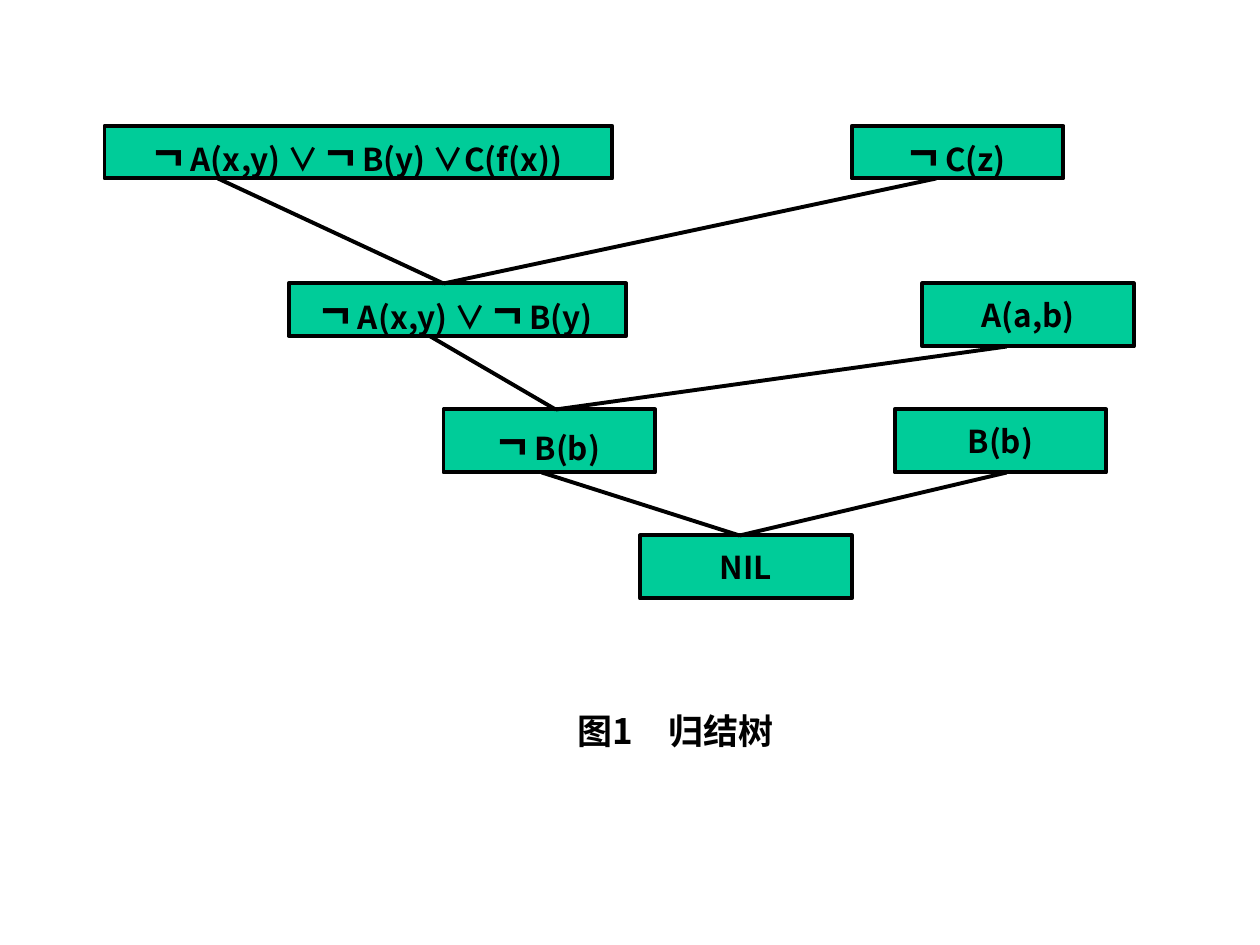
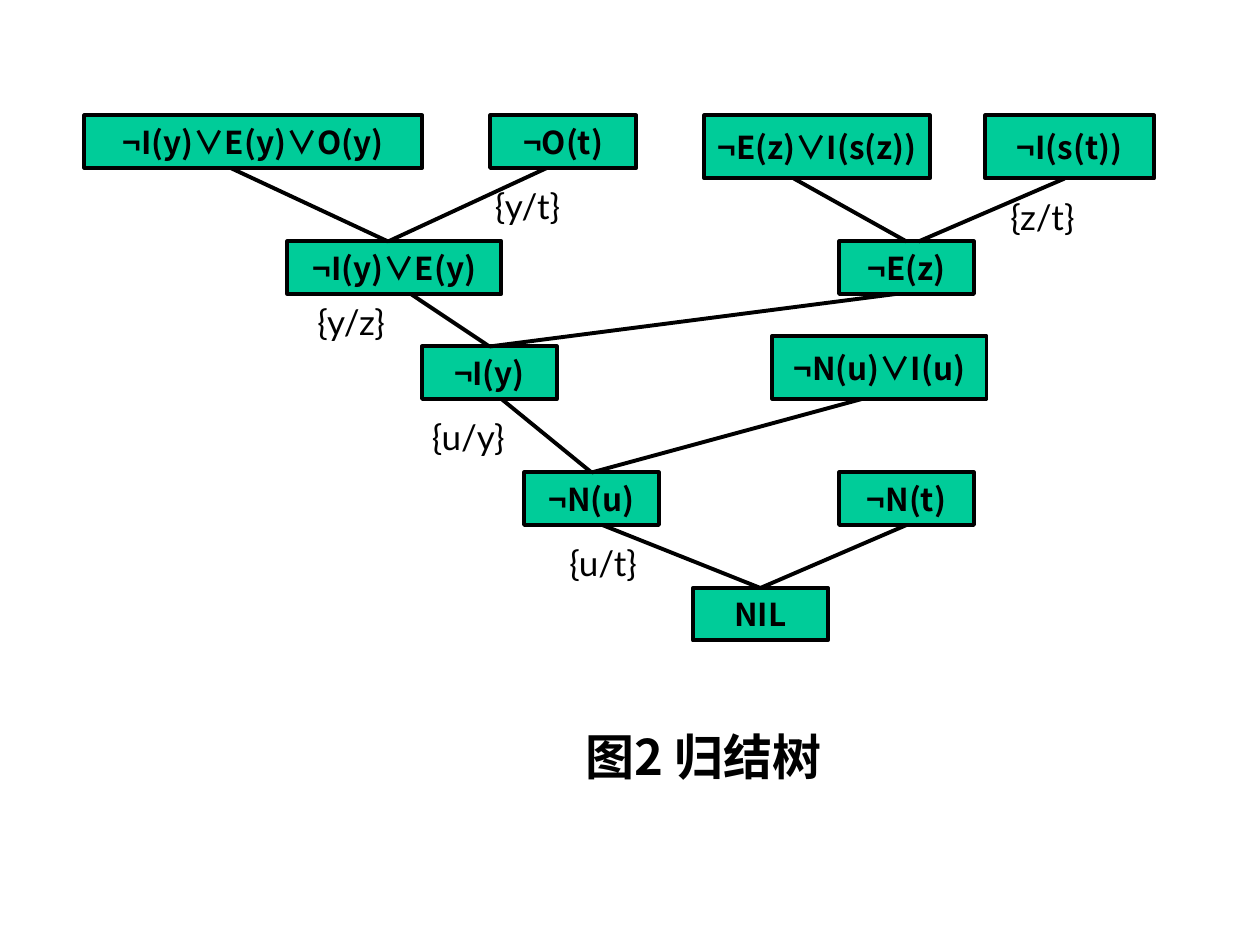
from dataclasses import dataclass
from itertools import groupby

from lxml import etree
from pptx import Presentation
from pptx import util as u
from pptx.dml.color import RGBColor
from pptx.enum import shapes, text
from pptx.oxml.ns import qn

TOP, BOTTOM = 0, 2


@dataclass(frozen=True)
class Theme:
    fill: RGBColor = RGBColor(0x00, 0xCC, 0x99)
    ink: RGBColor = RGBColor(0x00, 0x00, 0x00)
    line_width: float = 2.25
    clause_font: str = "Noto Sans CJK SC"
    label_font: str = "Lato"
    clause_size: int = 18
    large_negation_size: int = 28
    label_size: int = 20


class TreeBuilder:
    COLUMNS = 100
    ROWS = 90

    def __init__(self, presentation, theme):
        self.presentation = presentation
        self.theme = theme
        self.slide = None

    def new_slide(self):
        self.slide = self.presentation.slides.add_slide(self.presentation.slide_layouts[6])

    def x(self, columns):
        return round(self.presentation.slide_width * columns / self.COLUMNS)

    def y(self, rows):
        return round(self.presentation.slide_height * rows / self.ROWS)

    def area(self, column, row, width, height):
        return self.x(column), self.y(row), self.x(width), self.y(height)

    def style_run(self, run, font_name, size, bold):
        run.font.name = font_name
        run.font.size = u.Pt(size)
        run.font.bold = bold
        run.font.color.rgb = self.theme.ink
        east_asian = etree.SubElement(run.font._element, qn("a:ea"))
        east_asian.set("typeface", font_name)

    def style_line(self, line):
        line.color.rgb = self.theme.ink
        line.width = u.Pt(self.theme.line_width)

    def clause(self, formula, column, row, width, height=5, negation_size=None):
        shape = self.slide.shapes.add_shape(
            shapes.MSO_SHAPE.RECTANGLE, *self.area(column, row, width, height))
        shape.shadow.inherit = False
        shape.fill.solid()
        shape.fill.fore_color.rgb = self.theme.fill
        self.style_line(shape.line)
        text_frame = shape.text_frame
        text_frame.word_wrap = False
        text_frame.vertical_anchor = text.MSO_ANCHOR.MIDDLE
        paragraph = text_frame.paragraphs[0]
        paragraph.alignment = text.PP_ALIGN.CENTER
        for is_negation, symbols in groupby(formula, lambda symbol: symbol == "¬"):
            run = paragraph.add_run()
            run.text = "".join(symbols)
            size = negation_size if is_negation and negation_size else self.theme.clause_size
            self.style_run(run, self.theme.clause_font, size, True)
        return shape

    def resolve(self, parent, child, parent_column=None, child_column=None):
        def column_or_middle(shape, column):
            return shape.left + shape.width // 2 if column is None else self.x(column)

        connector = self.slide.shapes.add_connector(
            shapes.MSO_CONNECTOR.STRAIGHT,
            column_or_middle(parent, parent_column), parent.top + parent.height,
            column_or_middle(child, child_column), child.top)
        if parent_column is None:
            connector.begin_connect(parent, BOTTOM)
        if child_column is None:
            connector.end_connect(child, TOP)
        self.style_line(connector.line)
        etree.SubElement(connector._element.spPr, qn("a:effectLst"))

    def text_box(self, content, area, font_name, size, bold, alignment):
        text_frame = self.slide.shapes.add_textbox(*self.area(*area)).text_frame
        text_frame.word_wrap = True
        text_frame.auto_size = text.MSO_AUTO_SIZE.SHAPE_TO_FIT_TEXT
        text_frame.text = content
        paragraph = text_frame.paragraphs[0]
        paragraph.alignment = alignment
        self.style_run(paragraph.runs[0], font_name, size, bold)

    def caption(self, content, area, size, font_name):
        self.text_box(content, area, font_name, size, True, text.PP_ALIGN.CENTER)

    def substitution(self, content, column, row):
        self.text_box(content, (column, row, 11.7, 6), self.theme.label_font,
                      self.theme.label_size, False, text.PP_ALIGN.LEFT)


def build_first_tree(builder):
    builder.new_slide()
    large = builder.theme.large_negation_size
    width = 16.8
    goal = builder.clause("¬ A(x,y) ∨ ¬ B(y) ∨C(f(x))", 8.3, 12, 40.3, negation_size=large)
    not_c = builder.clause("¬ C(z)", 67.6, 12, width, negation_size=large)
    not_a_or_not_b = builder.clause("¬ A(x,y) ∨ ¬ B(y)", 22.9, 27, 26.8, negation_size=large)
    fact_a = builder.clause("A(a,b)", 73.2, 27, width, 6)
    not_b = builder.clause("¬ B(b)", 35.2, 39, width, 6, large)
    fact_b = builder.clause("B(b)", 71, 39, width, 6)
    nil = builder.clause("NIL", 50.8, 51, width, 6)
    for parent, child, parent_column, child_column in (
        (goal, not_a_or_not_b, 17.3, 35.2),
        (not_c, not_a_or_not_b, 74.3, 35.2),
        (not_a_or_not_b, not_b, 34.1, 44.1),
        (fact_a, not_b, 79.9, 44.1),
        (not_b, nil, 43, 58.7),
        (fact_b, nil, 79.9, 58.7),
    ):
        builder.resolve(parent, child, parent_column, child_column)
    builder.caption("图1　归结树", (32.9, 67, 41.4, 6), 20, "Noto Sans CJK JP")


def build_second_tree(builder):
    builder.new_slide()
    width = 10.7
    goal = builder.clause("¬I(y)∨E(y)∨O(y)", 6.7, 11, 26.8)
    not_o = builder.clause("¬O(t)", 38.9, 11, 11.6)
    not_e_or_i = builder.clause("¬E(z)∨I(s(z))", 55.9, 11, 17.9, 6)
    not_i_s = builder.clause("¬I(s(t))", 78.2, 11, 13.4, 6)
    not_i_or_e = builder.clause("¬I(y)∨E(y)", 22.8, 23, 17)
    not_e = builder.clause("¬E(z)", 66.6, 23, width)
    not_i = builder.clause("¬I(y)", 33.5, 33, width)
    not_n_or_i = builder.clause("¬N(u)∨I(u)", 61.3, 32, 17, 6)
    not_n_u = builder.clause("¬N(u)", 41.6, 45, width)
    not_n_t = builder.clause("¬N(t)", 66.6, 45, width)
    nil = builder.clause("NIL", 55, 56, width)
    for parent, child, parent_column, child_column in (
        (goal, not_i_or_e, 18.3, 30.8),
        (not_o, not_i_or_e, 43.4, 30.8),
        (not_e_or_i, not_e, 63, None),
        (not_i_s, not_e, 84.5, 72.9),
        (not_i_or_e, not_i, 32.6, None),
        (not_e, not_i, 71.1, None),
        (not_i, not_n_u, 39.8, None),
        (not_n_or_i, not_n_u, 68.4, None),
        (not_n_u, nil, 47.8, None),
        (not_n_t, nil, None, None),
    ):
        builder.resolve(parent, child, parent_column, child_column)
    for content, column, row in (
        ("{y/t}", 38.3, 17),
        ("{z/t}", 79.2, 18),
        ("{y/z}", 24.2, 28),
        ("{u/y}", 33.3, 39),
        ("{u/t}", 44.2, 51),
    ):
        builder.substitution(content, column, row)
    builder.caption("图2 归结树", (30.3, 68.6, 51.1, 6.8), 28, builder.theme.clause_font)


def main():
    presentation = Presentation()
    presentation.slide_width = u.Inches(10)
    presentation.slide_height = u.Inches(7.5)
    builder = TreeBuilder(presentation, Theme())
    build_first_tree(builder)
    build_second_tree(builder)
    presentation.save("out.pptx")


if __name__ == "__main__":
    main()
